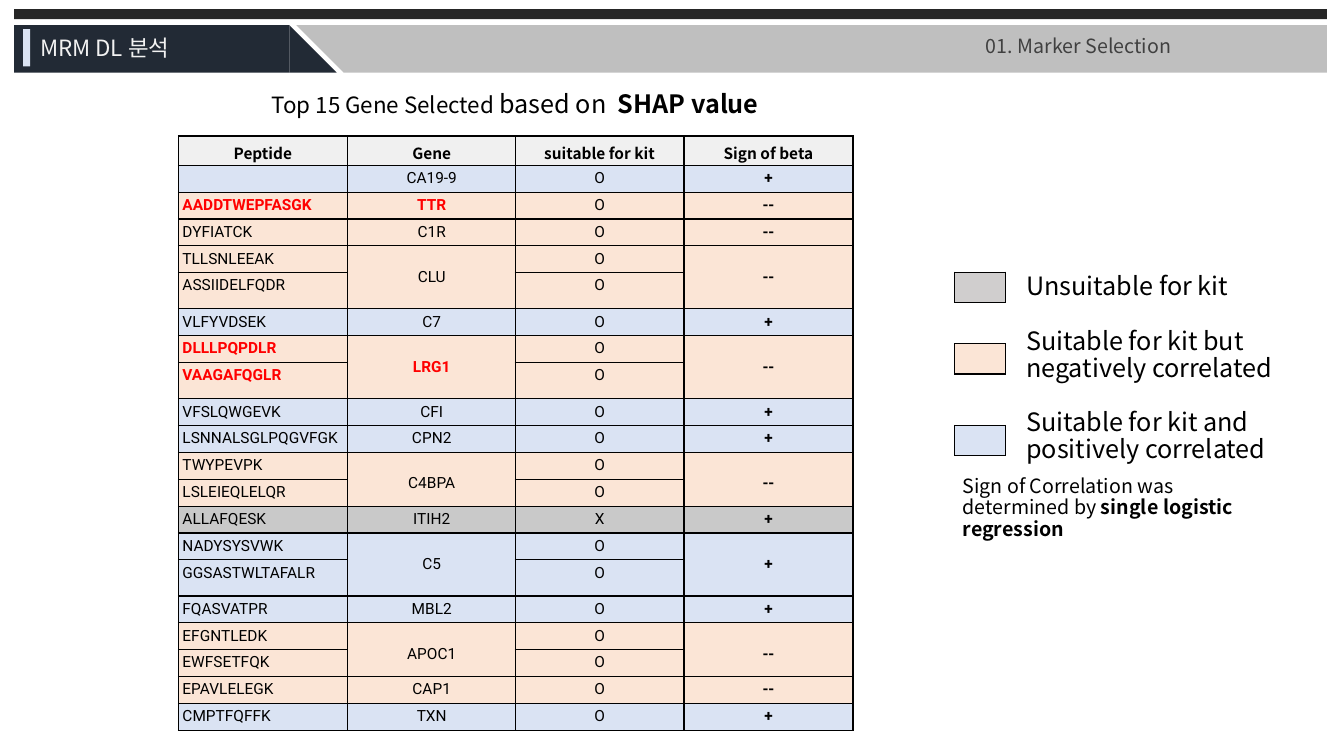
from lxml import etree
from pptx import Presentation
from pptx.dml.color import RGBColor
from pptx.enum.shapes import MSO_SHAPE
from pptx.enum.text import MSO_ANCHOR, MSO_AUTO_SIZE, PP_ALIGN
from pptx.oxml.ns import qn
from pptx.util import Inches, Pt

RECT, TRIANGLE = MSO_SHAPE.RECTANGLE, MSO_SHAPE.RIGHT_TRIANGLE
LEFT, CENTER = PP_ALIGN.LEFT, PP_ALIGN.CENTER
SANS, ROBOTO = "Noto Sans CJK KR", "Roboto"
BLACK, RED = "000000", "FF0000"
NAVY, SILVER, HEADER_FILL = "222A35", "BFBFBF", "F0F0F0"
BLUE, PEACH, GRAY = "DAE3F3", "FBE5D6", "C9C9C9"

HEADLINE = [("Top 15 Gene Selected ", 16, False), ("based on  ", 18, False),
            ("SHAP value", 18, True)]
COLUMNS = ("Peptide", "Gene", "suitable for kit", "Sign of beta")
# One entry per gene: gene, sign of beta, fits the kit, peptides
GENES = [
    ("CA19-9", "+", "O", [""]),
    ("TTR", "--", "O", ["AADDTWEPFASGK"]),
    ("C1R", "--", "O", ["DYFIATCK"]),
    ("CLU", "--", "O", ["TLLSNLEEAK", "ASSIIDELFQDR"]),
    ("C7", "+", "O", ["VLFYVDSEK"]),
    ("LRG1", "--", "O", ["DLLLPQPDLR", "VAAGAFQGLR"]),
    ("CFI", "+", "O", ["VFSLQWGEVK"]),
    ("CPN2", "+", "O", ["LSNNALSGLPQGVFGK"]),
    ("C4BPA", "--", "O", ["TWYPEVPK", "LSLEIEQLELQR"]),
    ("ITIH2", "+", "X", ["ALLAFQESK"]),
    ("C5", "+", "O", ["NADYSYSVWK", "GGSASTWLTAFALR"]),
    ("MBL2", "+", "O", ["FQASVATPR"]),
    ("APOC1", "--", "O", ["EFGNTLEDK", "EWFSETFQK"]),
    ("CAP1", "--", "O", ["EPAVLELEGK"]),
    ("TXN", "+", "O", ["CMPTFQFFK"]),
]
HIGHLIGHTED = {"TTR", "LRG1"}
TALL_GENES = {"CLU", "LRG1", "C5"}
LEGEND = [(2.7, "D0CECE", "Unsuitable for kit"),
          (3.41, PEACH, "Suitable for kit but negatively correlated"),
          (4.22, BLUE, "Suitable for kit and\vpositively correlated")]
FOOTNOTE = [("Sign of Correlation was determined by ", 14, False),
            ("single logistic regression", 14, True)]
BANNER = [(RECT, 0.14, 0.09, 13.02, 0.1, "262626", 0),
          (RECT, 0.14, 0.25, 2.73, 0.47, NAVY, 0),
          (TRIANGLE, 2.87, 0.25, 0.47, 0.47, NAVY, 0),
          (RECT, 3.41, 0.25, 9.75, 0.47, SILVER, 0),
          (TRIANGLE, 2.94, 0.25, 0.47, 0.47, SILVER, 180),
          (RECT, 0.23, 0.29, 0.07, 0.37, BLUE, 0)]
BANNER_TEXTS = [("MRM DL 분석", 0.3, 0.29, 1.99, 0.37, 16, "F2F2F2"),
                ("01. Marker Selection", 9.68, 0.29, 3.57, 0.34, 14, "404040")]

TABLE_TOP, TABLE_HEIGHT, PAIR_WIDTH = 1.35, 5.9, 3.35
HEADER_ROW, TALL_ROW = 0.29, 0.36
ROW_COUNT = 1 + sum(len(peptides) for *_, peptides in GENES)
BODY_ROW = ((TABLE_HEIGHT - HEADER_ROW - TALL_ROW * len(TALL_GENES))
            / (ROW_COUNT - 1 - len(TALL_GENES)))
TIGHT = 0.9  # line spacing
LEGEND_GAP = 19.3  # one tight line of 18 pt


def rgb(color):
    return RGBColor.from_string(color)


def style_run(run, size, color=BLACK, bold=False, font=SANS):
    run.font.size, run.font.bold, run.font.name = Pt(size), bold, font
    run.font.color.rgb = rgb(color)
    east_asian = etree.SubElement(run.font._element, qn("a:ea"))
    east_asian.set("typeface", font)


def add_runs(paragraph, pieces):
    for text, size, bold in pieces:
        run = paragraph.add_run()
        run.text = text
        style_run(run, size, bold=bold)


def add_block(kind, left, top, width, height, fill, rotation):
    block = slide.shapes.add_shape(kind, Inches(left), Inches(top),
                                   Inches(width), Inches(height))
    block.shadow.inherit = False
    block.fill.solid()
    block.fill.fore_color.rgb = rgb(fill)
    block.line.fill.background()
    block.rotation = rotation


def add_text_frame(left, top, width, height):
    box = slide.shapes.add_textbox(Inches(left), Inches(top), Inches(width), Inches(height))
    box.text_frame.word_wrap = True
    return box.text_frame


def set_borders(cell):
    properties = cell._tc.get_or_add_tcPr()
    for position, side in enumerate(("a:lnL", "a:lnR", "a:lnT", "a:lnB")):
        border = etree.Element(qn(side), w=str(Pt(1)))
        fill = etree.SubElement(border, qn("a:solidFill"))
        etree.SubElement(fill, qn("a:srgbClr"), val=BLACK)
        properties.insert(position, border)


def fill_cell(cell, text, fill, align=CENTER, color=BLACK, bold=False, font=ROBOTO):
    cell.fill.solid()
    cell.fill.fore_color.rgb = rgb(fill)
    set_borders(cell)
    cell.margin_left = cell.margin_right = Inches(0.04)
    cell.margin_top = cell.margin_bottom = Inches(0.04)
    paragraph = cell.text_frame.paragraphs[0]
    paragraph.alignment = align
    if text:
        paragraph.text = text
        style_run(paragraph.runs[0], 11, color, bold, font)
    else:
        paragraph._p.get_or_add_endParaRPr().set("sz", "1100")


def add_table(rows, columns, left, top, width, height):
    table = slide.shapes.add_table(rows, columns, Inches(left), Inches(top),
                                   Inches(width), Inches(height)).table
    table.horz_banding = False
    return table


def add_pair_table(left, headings):
    """Add a two-column table with its header row and row heights."""
    table = add_table(ROW_COUNT, 2, left, TABLE_TOP, PAIR_WIDTH, TABLE_HEIGHT)
    for row in table.rows:
        row.height = Inches(BODY_ROW)
    table.rows[0].height = Inches(HEADER_ROW)
    for column, heading in enumerate(headings):
        cell = table.cell(0, column)
        fill_cell(cell, heading, HEADER_FILL, bold=True, font=SANS)
        cell.margin_top, cell.margin_bottom = Inches(0.05), Inches(0.01)
    return table


def merge_gene_cells(table, first, last, column):
    table.cell(first, column).merge(table.cell(last, column))
    table.cell(first, column).margin_top = Inches(0.22)


prs = Presentation()
prs.slide_width, prs.slide_height = Inches(13.33), Inches(7.5)
slide = prs.slides.add_slide(prs.slide_layouts[5])

for block in BANNER:
    add_block(*block)
for text, left, top, width, height, size, color in BANNER_TEXTS:
    banner_text = add_text_frame(left, top, width, height).paragraphs[0]
    banner_text.text = text
    style_run(banner_text.runs[0], size, color)

title = slide.shapes.title
title.left, title.top = Inches(2.23), Inches(0.86)
title.width, title.height = Inches(5.76), Inches(0.4)
title.text_frame.auto_size = MSO_AUTO_SIZE.NONE
title.text_frame.vertical_anchor = MSO_ANCHOR.TOP
headline = title.text_frame.paragraphs[0]
headline.alignment, headline.line_spacing = CENTER, TIGHT
add_runs(headline, HEADLINE)

peptide_table = add_pair_table(1.77, COLUMNS[:2])
kit_table = add_pair_table(5.11, COLUMNS[2:])
first = 1
for gene, sign, kit, peptides in GENES:
    fill = GRAY if kit == "X" else BLUE if sign == "+" else PEACH
    marked = gene in HIGHLIGHTED
    color = RED if marked else BLACK
    last = first + len(peptides) - 1
    for row, peptide in enumerate(peptides, first):
        shown_gene, shown_sign = (gene, sign) if row == first else ("", "")
        fill_cell(peptide_table.cell(row, 0), peptide, fill, LEFT, color, marked)
        fill_cell(peptide_table.cell(row, 1), shown_gene, fill, CENTER, color, marked)
        fill_cell(kit_table.cell(row, 0), kit, fill)
        fill_cell(kit_table.cell(row, 1), shown_sign, fill, bold=True)
    for table in (peptide_table, kit_table):
        if last > first:
            merge_gene_cells(table, first, last, 1)
        if gene in TALL_GENES:
            table.rows[last].height = Inches(TALL_ROW)
    first = last + 1

legend = add_text_frame(10.08, 2.67, 3.16, 1.98)
for index, (top, fill, label) in enumerate(LEGEND):
    swatch = add_table(1, 1, 9.47, top, 0.5, 0.3)
    fill_cell(swatch.cell(0, 0), "", fill)
    entry = legend.paragraphs[0] if index == 0 else legend.add_paragraph()
    entry.text = label
    entry.line_spacing = TIGHT
    entry.space_before = Pt(LEGEND_GAP if index else 0)
    for run in entry.runs:
        style_run(run, 18)

footnote = add_text_frame(9.45, 4.68, 3.16, 0.75).paragraphs[0]
footnote.line_spacing = TIGHT
add_runs(footnote, FOOTNOTE)

prs.save("out.pptx")
